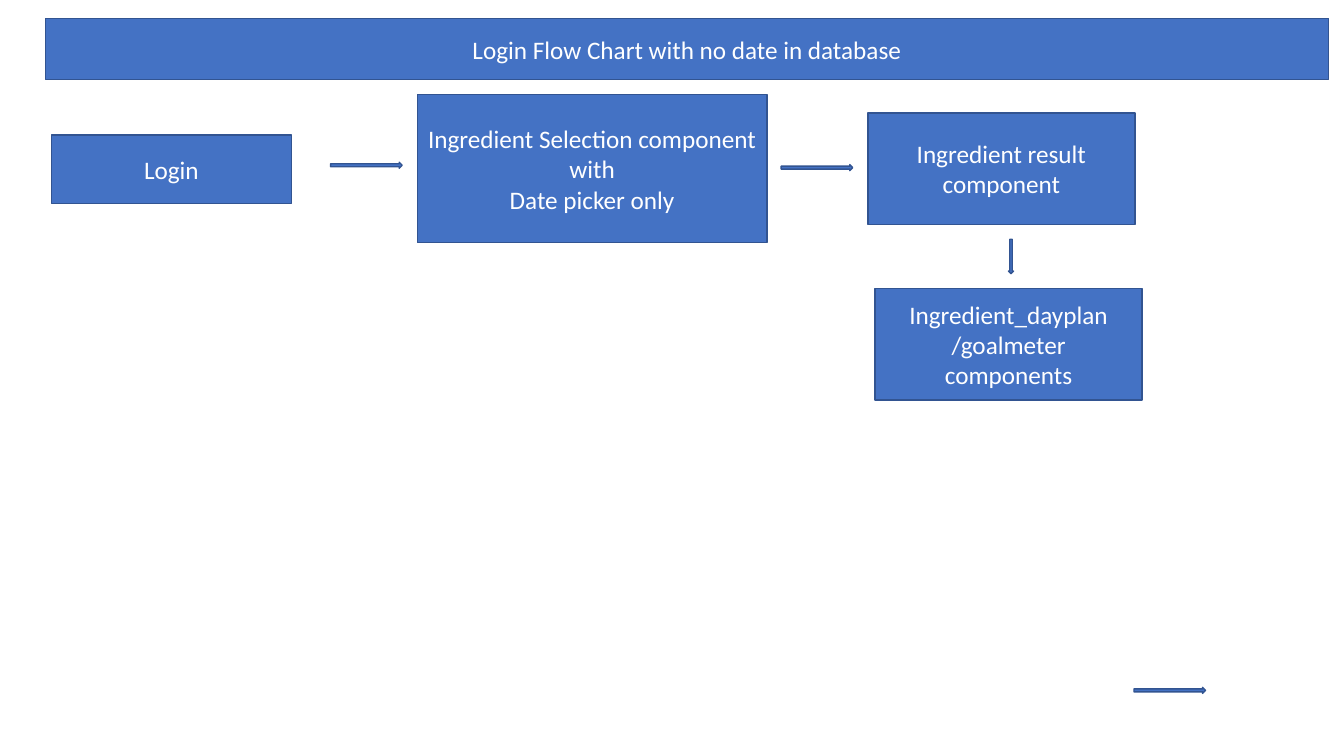
import pptx
import pptx.util
import pptx.dml.color
import pptx.enum.shapes
import pptx.enum.text

Pt = pptx.util.Pt
SHAPES = pptx.enum.shapes.MSO_SHAPE

# Content: lengths in points, as left, top, width, height
PAGE_SIZE = (960, 540)
COLORS = {"fill": "4472C4", "line": "325491", "text": "FFFFFF"}
FONT, FONT_SIZE = "Calibri", 18

TITLE = ("Login Flow Chart with no date in database", (32.4, 13, 916.6, 43.9))

RESULT_SIZE = (190.8, 79.9)
STEPS = [
    (["Login"], (36.7, 96.5, 171.4, 49)),
    (["Ingredient Selection component with", "Date picker only"],
     (298.1, 67.7, 249.8, 105.8)),
    (["Ingredient result component"], (619.9, 80.6, *RESULT_SIZE)),
    (["Ingredient_dayplan", "/goalmeter components"], (625, 205.9, *RESULT_SIZE)),
]

ARROW_SIZE = (51.1, 4.3)
ARROWS = [  # frame, rotation in degrees
    ((236.2, 115.9, *ARROW_SIZE), 0),
    ((558, 117.6, *ARROW_SIZE), 0),
    ((709.9, 181.4, 24.5, 3.6), 90),
    ((810, 491, *ARROW_SIZE), 0),
]


def color(name):
    return pptx.dml.color.RGBColor.from_string(COLORS[name])


def paint(box):
    box.fill.solid()
    box.fill.fore_color.rgb = color("fill")
    box.line.color.rgb = color("line")
    box.line.width = Pt(1)


def write(box, lines):
    frame = box.text_frame
    frame.text = "\n".join(lines)
    frame.word_wrap = True
    frame.auto_size = pptx.enum.text.MSO_AUTO_SIZE.NONE
    frame.vertical_anchor = pptx.enum.text.MSO_ANCHOR.MIDDLE
    for para in frame.paragraphs:
        para.alignment = pptx.enum.text.PP_ALIGN.CENTER
        para.line_spacing = 1.0
        para.font.name = FONT
        para.font.size = Pt(FONT_SIZE)
        para.font.color.rgb = color("text")


def add_box(page, kind, frame):
    box = page.shapes.add_shape(kind, *map(Pt, frame))
    box.shadow.inherit = False
    paint(box)
    return box


def main():
    deck = pptx.Presentation()
    deck.slide_width, deck.slide_height = map(Pt, PAGE_SIZE)
    page = deck.slides.add_slide(deck.slide_layouts.get_by_name("Title Only"))

    # Title banner
    text, frame = TITLE
    banner = page.shapes.title
    banner.left, banner.top, banner.width, banner.height = map(Pt, frame)
    paint(banner)
    write(banner, [text])

    # Flow steps
    for lines, frame in STEPS:
        write(add_box(page, SHAPES.RECTANGLE, frame), lines)

    # Block arrows between the steps
    for frame, rotation in ARROWS:
        add_box(page, SHAPES.RIGHT_ARROW, frame).rotation = rotation

    deck.save("out.pptx")


if __name__ == "__main__":
    main()
